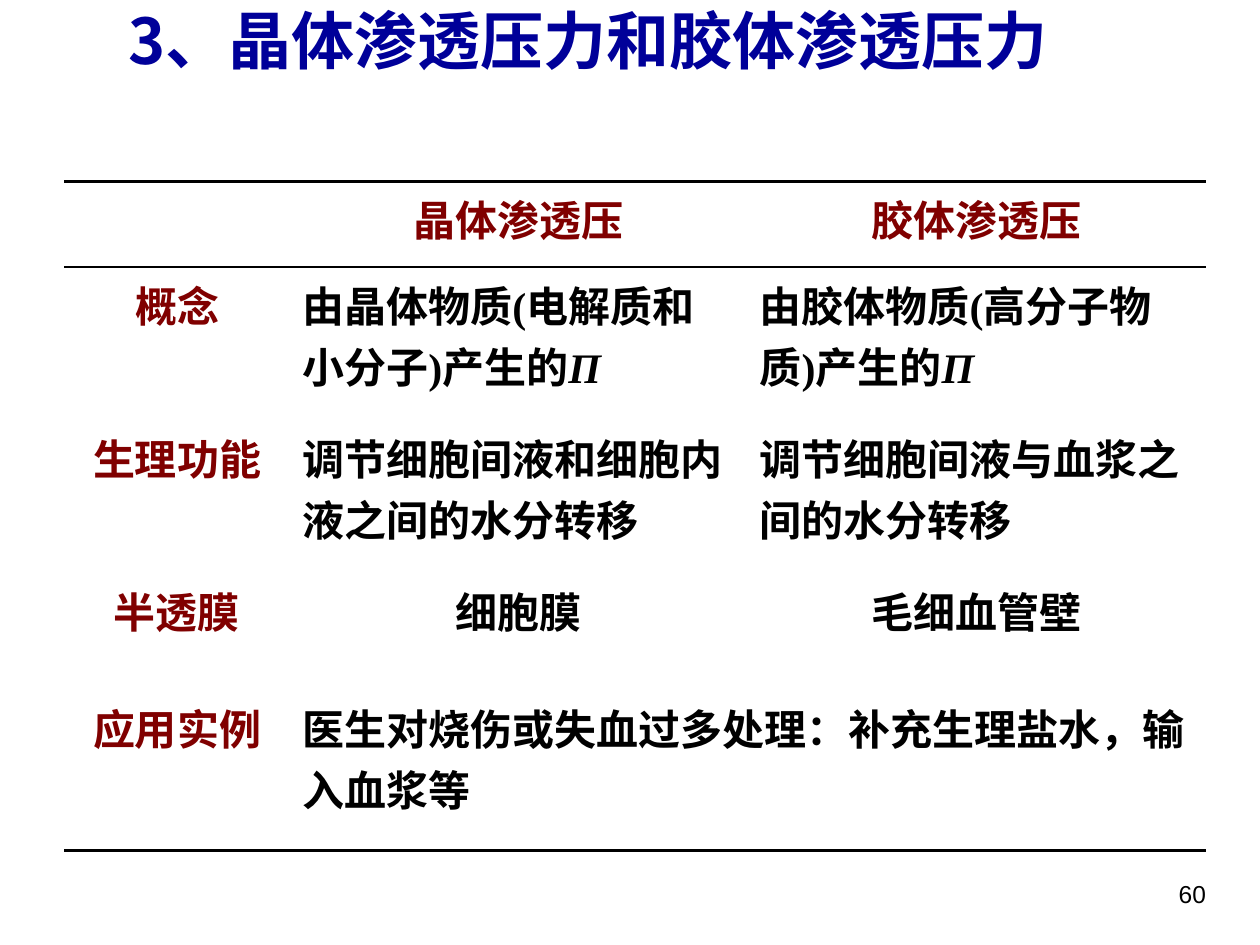
"""Build a slide comparing crystalloid and colloid osmotic pressure in a table."""
from lxml.etree import SubElement
from pptx import Presentation
from pptx.dml.color import RGBColor
from pptx.enum.text import MSO_ANCHOR, PP_ALIGN
from pptx.oxml import parse_xml
from pptx.oxml.ns import nsdecls, qn
from pptx.util import Inches, Pt

CJK, SERIF, SANS = "Noto Sans CJK SC", "Times New Roman", "Arial"
BLUE, MAROON, BLACK = "000099", "800000", "000000"
LEFT, CENTER, RIGHT = PP_ALIGN.LEFT, PP_ALIGN.CENTER, PP_ALIGN.RIGHT

TITLE = "3、晶体渗透压力和胶体渗透压力"
PAGE_NUMBER = "60"
SYMBOL = "Π"
ROWS = [
    ("", "晶体渗透压", "胶体渗透压"),
    ("概念", "由晶体物质(电解质和小分子)产生的Π", "由胶体物质(高分子物质)产生的Π"),
    ("生理功能", "调节细胞间液和细胞内液之间的水分转移", "调节细胞间液与血浆之间的水分转移"),
    ("半透膜", "细胞膜", "毛细血管壁"),
    ("应用实例", "医生对烧伤或失血过多处理：补充生理盐水，输入血浆等", ""),
]
HEADER, MEMBRANE, EXAMPLE = 0, 3, 4
COLUMN_WIDTHS = (1.79, 3.63, 3.64)
ROW_HEIGHTS = (0.68, 1.22, 1.21, 0.9, 1.3)
RULES = {0: 2.25, 1: 1, len(ROWS): 2.25}


def color(value):
    return RGBColor.from_string(value)


def add_span(para, text, size, font, fill, bold=False, italic=False):
    span = para.add_run()
    span.text = text
    span.font.size = Pt(size)
    span.font.name = font
    span.font.bold = bold
    span.font.italic = italic
    span.font.color.rgb = color(fill)
    SubElement(span.font._element, qn("a:ea")).set("typeface", CJK)


def add_text(page, place, text, align, anchor, **style):
    box = page.shapes.add_textbox(*(Inches(length) for length in place))
    frame = box.text_frame
    frame.word_wrap = True
    frame.vertical_anchor = anchor
    para = frame.paragraphs[0]
    para.alignment = align
    add_span(para, text, **style)
    return para


def set_borders(cell, row):
    properties = cell._tc.get_or_add_tcPr()
    widths = {"L": None, "R": None, "T": RULES.get(row), "B": RULES.get(row + 1)}
    for index, (side, width) in enumerate(widths.items()):
        paint = (f'<a:solidFill><a:srgbClr val="{BLACK}"/></a:solidFill>'
                 if width else "<a:noFill/>")
        line = f'<a:ln{side} {nsdecls("a")} w="{Pt(width or 0)}">{paint}</a:ln{side}>'
        properties.insert(index, parse_xml(line))


def fill_cell(cell, row, column, text):
    cell.fill.background()
    set_borders(cell, row)
    cell.margin_top = Inches(0.08 if row == EXAMPLE else 0.05)
    if not text:
        return
    heading = row == HEADER or column == 0
    para = cell.text_frame.paragraphs[0]
    para.alignment = CENTER if heading or row == MEMBRANE else LEFT
    words, symbol, _ = text.partition(SYMBOL)
    font = SANS if row == EXAMPLE and heading else SERIF
    fill = MAROON if heading else BLACK
    add_span(para, words, 24, font, fill, bold=True)
    if symbol:
        add_span(para, symbol, 24, font, fill, bold=True, italic=True)


def add_comparison(page):
    place = (0.51, 1.44, sum(COLUMN_WIDTHS), sum(ROW_HEIGHTS))
    table = page.shapes.add_table(len(ROWS), len(COLUMN_WIDTHS),
                                  *(Inches(length) for length in place)).table
    table.first_row = table.horz_banding = False
    for column, width in zip(table.columns, COLUMN_WIDTHS):
        column.width = Inches(width)
    for row, height in zip(table.rows, ROW_HEIGHTS):
        row.height = Inches(height)
    table.cell(EXAMPLE, 1).merge(table.cell(EXAMPLE, 2))
    for row, texts in enumerate(ROWS):
        for column, text in enumerate(texts):
            fill_cell(table.cell(row, column), row, column, text)


def main():
    deck = Presentation()
    deck.slide_width, deck.slide_height = Inches(10), Inches(7.5)
    page = deck.slides.add_slide(deck.slide_layouts[6])
    title = add_text(page, (0.92, 0.03, 8.57, 2.02), TITLE, LEFT, MSO_ANCHOR.TOP,
                     size=36, font=CJK, fill=BLUE, bold=True)
    title.line_spacing = 0.9
    add_comparison(page)
    add_text(page, (7.17, 6.83, 2.5, 0.52), PAGE_NUMBER, RIGHT, MSO_ANCHOR.MIDDLE,
             size=14, font=SANS, fill=BLACK)
    deck.save("out.pptx")


if __name__ == "__main__":
    main()
